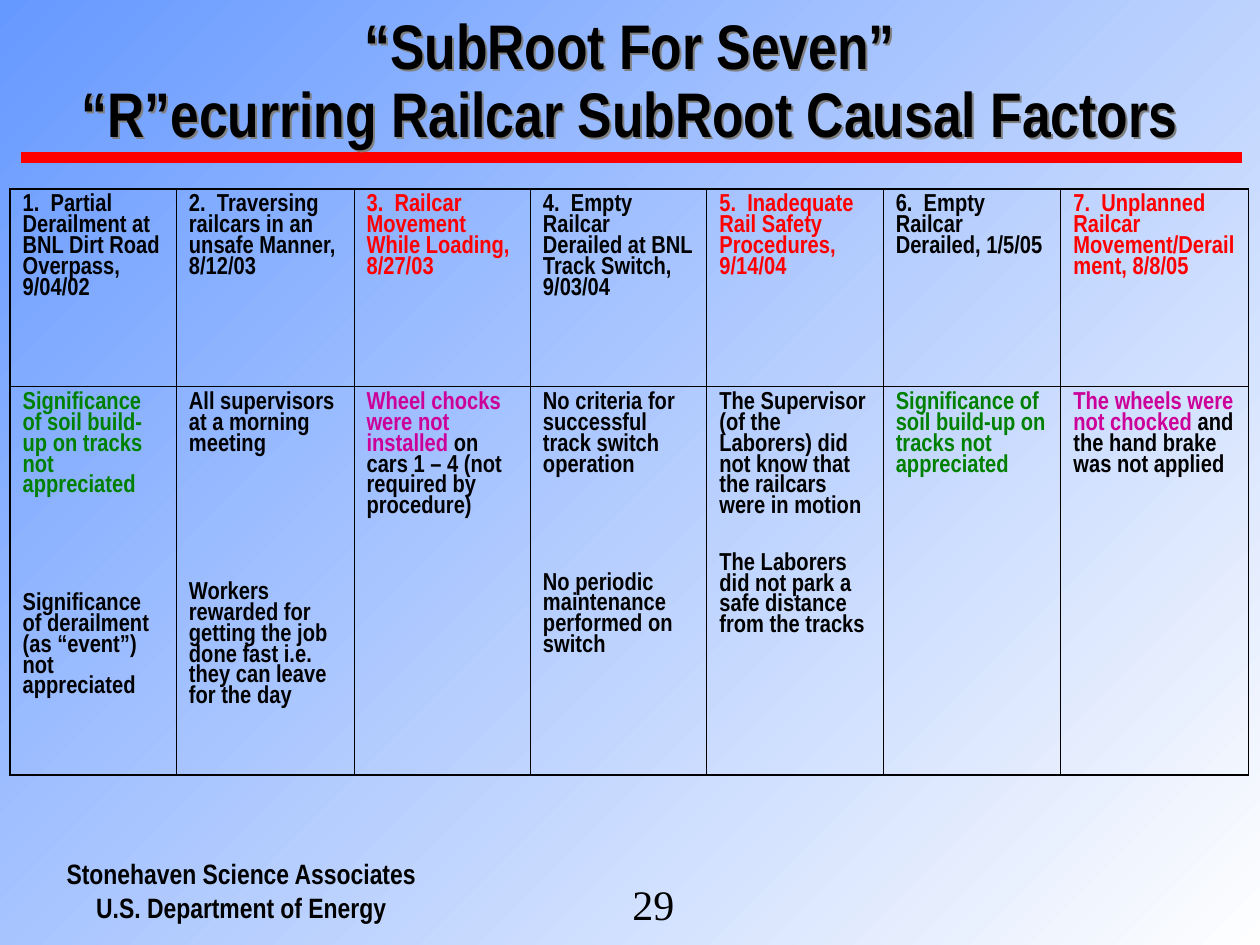
from lxml.etree import SubElement
from pptx import Presentation
from pptx.dml.color import RGBColor
from pptx.enum.shapes import MSO_CONNECTOR as Connector
from pptx.enum.text import MSO_ANCHOR as Anchor, PP_ALIGN as Align
from pptx.oxml.ns import qn
from pptx.util import Inches, Pt

BLACK, RED, GREEN, MAGENTA = "000000", "FF0000", "008000", "CC0099"
NARROW, SERIF = "Arial Narrow", "Times New Roman"

TITLE = ["“SubRoot For Seven”", "“R”ecurring Railcar SubRoot Causal Factors"]
FOOTER = ["Stonehaven Science Associates", "U.S. Department of Energy"]
PAGE_NUMBER = ["29"]

EVENTS = [
    ("1.  Partial Derailment at BNL Dirt Road Overpass, 9/04/02", BLACK),
    ("2.  Traversing railcars in an unsafe Manner, 8/12/03", BLACK),
    ("3.  Railcar Movement While Loading, 8/27/03", RED),
    ("4.  Empty Railcar Derailed at BNL Track Switch, 9/03/04", BLACK),
    ("5.  Inadequate Rail Safety Procedures, 9/14/04", RED),
    ("6.  Empty Railcar Derailed, 1/5/05", BLACK),
    ("7.  Unplanned Railcar Movement/Derailment, 8/8/05", RED),
]
SOIL = [("Significance of soil build-up on tracks not appreciated", GREEN)]
FACTORS = [
    [SOIL, [("Significance of derailment (as “event”) not appreciated", BLACK)]],
    [[("All supervisors at a morning meeting", BLACK)],
     [("Workers rewarded for getting the job done fast i.e. they can leave for the day", BLACK)]],
    [[("Wheel chocks were not installed", MAGENTA),
      (" on cars 1 – 4 (not required by procedure)", BLACK)]],
    [[("No criteria for successful track switch operation", BLACK)],
     [("No periodic maintenance performed on switch", BLACK)]],
    [[("The Supervisor (of the Laborers) did not know that the railcars were in motion", BLACK)],
     [("The Laborers did not park a safe distance from the tracks", BLACK)]],
    [SOIL],
    [[("The wheels were not chocked", MAGENTA),
      (" and the hand brake was not applied", BLACK)]],
]
FACTOR_GAPS = [55.5, 73, 0, 55.5, 20.5, 0, 0]
COLUMN_WIDTHS = [1.32, 1.41, 1.4, 1.4, 1.4, 1.41, 1.49]
ROW_HEIGHTS = [1.57, 3.08]
LINE_SPACING = 0.9
OUTER, INNER = 1.08, 0.45


def color(value):
    return RGBColor.from_string(value)


def add_span(para, text, size, font=NARROW, bold=True, tint=BLACK):
    span = para.add_run()
    span.text = text
    span.font.size = Pt(size)
    span.font.name = font
    span.font.bold = bold
    span.font.color.rgb = color(tint)


def add_box(page, place, lines, size, align, font=NARROW, bold=True):
    box = page.shapes.add_textbox(*map(Inches, place))
    box.text_frame.word_wrap = True
    para = box.text_frame.paragraphs[0]
    para.alignment = align
    for index, line in enumerate(lines):
        if index:
            para.add_line_break()
        add_span(para, line, size, font, bold)
    return box


def add_shadow(box):
    effects = SubElement(box._element.spPr, qn("a:effectLst"))
    shadow = SubElement(effects, qn("a:outerShdw"), dist=str(Pt(1.6)), dir="2700000")
    SubElement(shadow, qn("a:srgbClr"), val="808080")


def add_border(cell, side, width):
    line = SubElement(cell._tc.get_or_add_tcPr(), qn(f"a:{side}"), w=str(Pt(width)))
    fill = SubElement(line, qn("a:solidFill"))
    SubElement(fill, qn("a:srgbClr"), val=BLACK)


def fill_cell(cell, paragraphs, gap):
    cell.margin_left = cell.margin_right = Inches(0.1)
    cell.margin_top = cell.margin_bottom = Inches(0.05)
    for index, spans in enumerate(paragraphs):
        para = cell.text_frame.add_paragraph() if index else cell.text_frame.paragraphs[0]
        para.line_spacing = LINE_SPACING
        if index:
            para.space_before = Pt(gap)
        for text, tint in spans:
            add_span(para, text, 14, tint=tint)


def add_factor_table(page):
    rows = [[[[event]] for event in EVENTS], FACTORS]
    last_row, last_column = len(rows) - 1, len(COLUMN_WIDTHS) - 1
    frame = page.shapes.add_table(
        len(rows), len(COLUMN_WIDTHS), Inches(0.08), Inches(1.5),
        Inches(sum(COLUMN_WIDTHS)), Inches(sum(ROW_HEIGHTS)))
    table = frame.table
    table.first_row = table.horz_banding = False
    for column, width in zip(table.columns, COLUMN_WIDTHS):
        column.width = Inches(width)
    for row, height in zip(table.rows, ROW_HEIGHTS):
        row.height = Inches(height)
    for r, contents in enumerate(rows):
        for c, paragraphs in enumerate(contents):
            cell = table.cell(r, c)
            fill_cell(cell, paragraphs, FACTOR_GAPS[c])
            edges = {"lnL": c == 0, "lnR": c == last_column,
                     "lnT": r == 0, "lnB": r == last_row}
            for side, is_outer in edges.items():
                add_border(cell, side, OUTER if is_outer else INNER)
            cell.fill.background()


def main():
    deck = Presentation()
    deck.slide_width, deck.slide_height = Inches(10), Inches(7.5)
    page = deck.slides.add_slide(deck.slide_layouts[6])

    backdrop = page.background.fill
    backdrop.gradient()
    backdrop.gradient_angle = 135
    for stop, position, tint in zip(backdrop.gradient_stops, (0, 1), ("FEFEFE", "6699FF")):
        stop.position = position
        stop.color.rgb = color(tint)

    rule = page.shapes.add_connector(
        Connector.STRAIGHT, Inches(9.86), Inches(1.25), Inches(0.17), Inches(1.25))
    rule.line.color.rgb = color(RED)
    rule.line.width = Pt(6)
    SubElement(rule._element.spPr, qn("a:effectLst"))

    add_box(page, (0.25, 6.75, 3.33, 0.64), FOOTER, 16, Align.CENTER)
    add_box(page, (4.92, 6.92, 0.58, 0.5), PAGE_NUMBER, 24, Align.LEFT, SERIF, False)

    title = add_box(page, (0.25, 0, 9.5, 1.25), TITLE, 36, Align.CENTER)
    title.text_frame.vertical_anchor = Anchor.BOTTOM
    title.text_frame.paragraphs[0].line_spacing = LINE_SPACING
    add_shadow(title)

    add_factor_table(page)
    deck.save("out.pptx")


if __name__ == "__main__":
    main()
